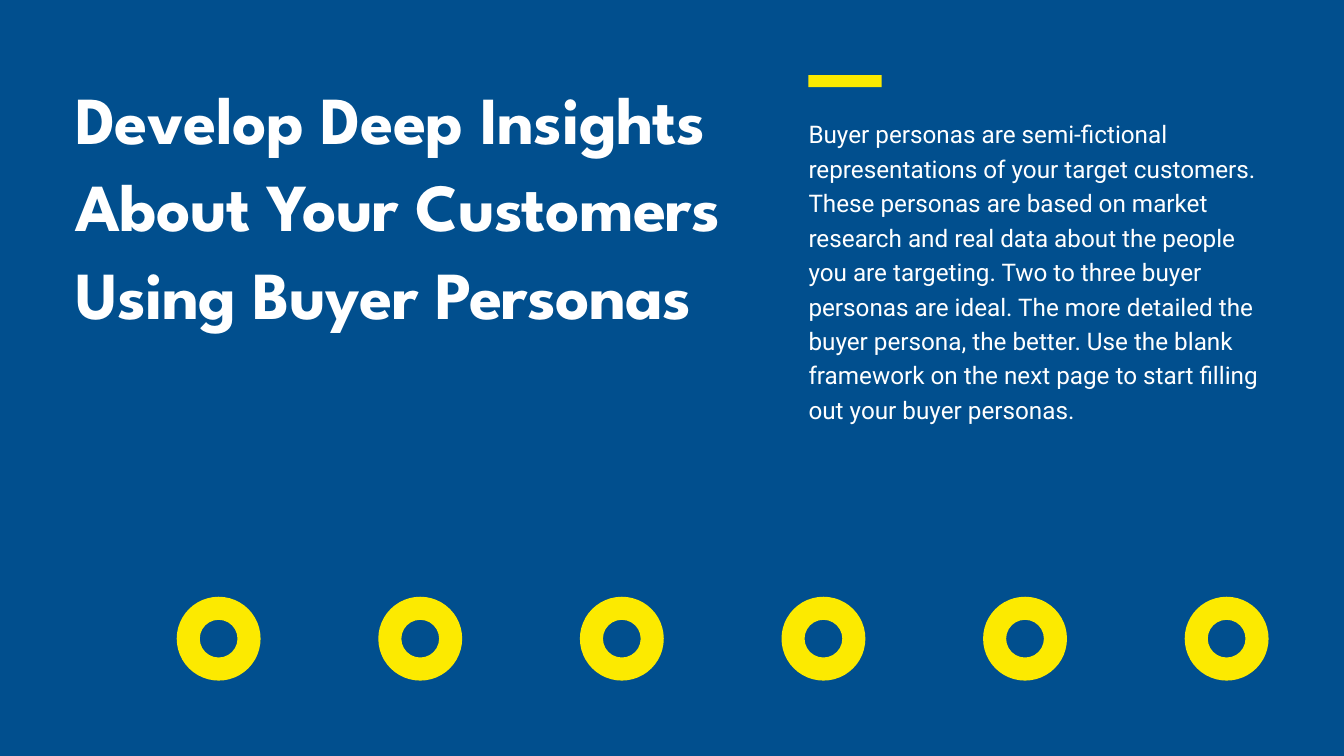
from lxml import etree
from pptx import Presentation
from pptx import util as u
from pptx.dml import color
from pptx.enum import shapes, text
from pptx.oxml import ns

COLORS = {"blue": "014F8E", "yellow": "FCEA00", "white": "FFFFFF"}


def rgb(name):
    return color.RGBColor.from_string(COLORS[name])


def add_yellow_shape(kind, left, top, width, height):
    shape = page.shapes.add_shape(kind, u.Cm(left), u.Cm(top), u.Cm(width), u.Cm(height))
    shape.shadow.inherit = False
    shape.fill.solid()
    shape.fill.fore_color.rgb = rgb("yellow")
    shape.line.fill.background()
    return shape


# Deck and background
deck = Presentation()
deck.slide_width, deck.slide_height = u.Cm(50.8), u.Cm(28.58)
page = deck.slides.add_slide(deck.slide_layouts[1])
page.background.fill.solid()
page.background.fill.fore_color.rgb = rgb("blue")

# Title and description
title, description = page.placeholders
blocks = [
    (title, (2.84, 2.67, 25.63, 13.03), 93.6,
     {"name": "League Spartan", "size": u.Pt(72), "bold": True},
     "Develop Deep Insights About Your Customers Using Buyer Personas"),
    (description, (30.56, 4.32, 17.37, 11.58), 36.9,
     {"name": "Roboto", "size": u.Pt(26), "bold": False},
     "Buyer personas are semi-fictional representations of your target customers. "
     "These personas are based on market research and real data about the people "
     "you are targeting. Two to three buyer personas are ideal. The more detailed "
     "the buyer persona, the better. Use the blank framework on the next page to "
     "start filling out your buyer personas."),
]
frame_format = {
    "margin_left": 0, "margin_top": 0, "margin_right": 0, "margin_bottom": 0,
    "word_wrap": True, "auto_size": text.MSO_AUTO_SIZE.NONE,
    "vertical_anchor": text.MSO_ANCHOR.TOP,
}
for box, place, pitch, font_format, wording in blocks:
    box.left, box.top, box.width, box.height = map(u.Cm, place)
    for key, value in frame_format.items():
        setattr(box.text_frame, key, value)
    para = box.text_frame.paragraphs[0]
    properties = para._p.get_or_add_pPr()
    properties.set("marL", "0")
    properties.set("indent", "0")
    etree.SubElement(properties, ns.qn("a:buNone"))
    para.alignment = text.PP_ALIGN.LEFT
    para.line_spacing = u.Pt(pitch)
    para.space_before = u.Pt(0)
    span = para.add_run()
    span.text = wording
    for key, value in font_format.items():
        setattr(span.font, key, value)
    span.font.color.rgb = rgb("white")

# Slightly tighter letters in the title
title.text_frame.paragraphs[0].runs[0]._r.get_or_add_rPr().set("spc", "-70")

# Accent bar above the description
add_yellow_shape(shapes.MSO_SHAPE.RECTANGLE, 30.56, 2.84, 2.77, 0.46)

# Row of rings
for index in range(6):
    ring = add_yellow_shape(shapes.MSO_SHAPE.DONUT, 6.68 + 7.62 * index, 22.56, 3.17, 3.17)
    ring.adjustments[0] = 0.275

deck.save("out.pptx")
